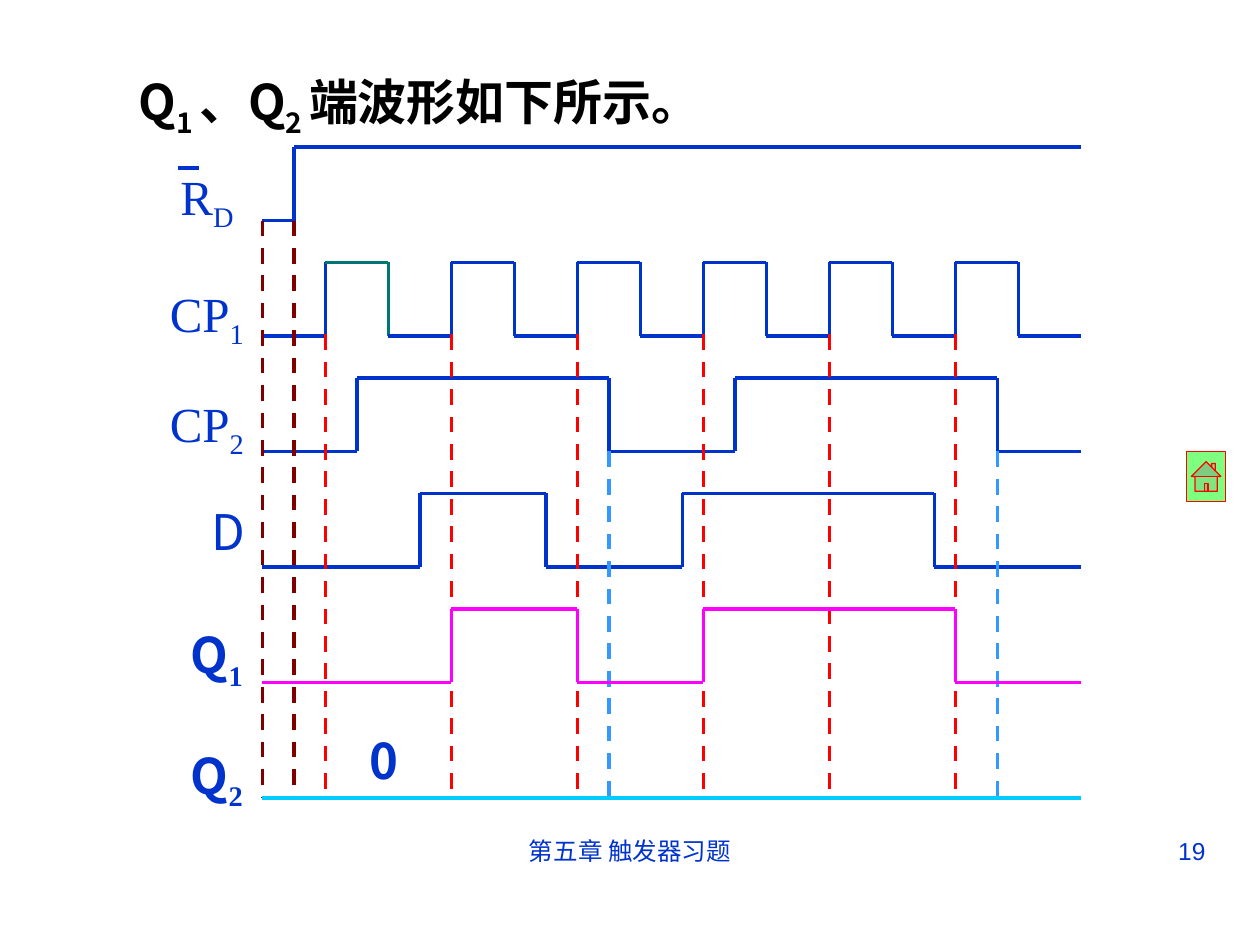
import dataclasses

import lxml.etree
import pptx
import pptx.dml.color
import pptx.enum.dml
import pptx.enum.shapes
import pptx.enum.text
import pptx.oxml.ns
import pptx.util

Pt = pptx.util.Pt
qn = pptx.oxml.ns.qn
Align = pptx.enum.text.PP_ALIGN


@dataclasses.dataclass(frozen=True)
class Theme:
    ink: str = "000000"
    signal: str = "0033CC"
    first_pulse: str = "007572"
    reset_guide: str = "800000"
    clock1_guide: str = "FF0000"
    clock2_guide: str = "3399FF"
    q1: str = "FF00FF"
    q2: str = "00CCFF"
    home_fill: str = "00FF00"
    home_line: str = "FF0000"
    sans: str = "Noto Sans CJK SC"
    serif: str = "Times New Roman"
    footer: str = "Arial"
    label_size: int = 28
    footer_size: int = 14
    stroke: float = 2.25
    home_stroke: float = 0.75


def rgb(color):
    return pptx.dml.color.RGBColor.from_string(color)


class TimingSlide:
    def __init__(self, deck, theme):
        self.theme = theme
        self.shapes = deck.slides.add_slide(deck.slide_layouts[6]).shapes

    def line(self, x1, y1, x2, y2, color, dashed=False):
        connector = self.shapes.add_connector(
            pptx.enum.shapes.MSO_CONNECTOR.STRAIGHT, Pt(x1), Pt(y1), Pt(x2), Pt(y2))
        connector.line.color.rgb = rgb(color)
        connector.line.width = Pt(self.theme.stroke)
        if dashed:
            connector.line.dash_style = pptx.enum.dml.MSO_LINE.DASH
        lxml.etree.SubElement(connector._element.spPr, qn("a:effectLst"))
        return connector

    def wave(self, high, low, edges, color):
        segments = []
        x, level, other = START, low, high
        for edge in edges:
            segments.append(self.line(x, level, edge, level, color))
            segments.append(self.line(edge, level, edge, other, color))
            x, level, other = edge, other, level
        segments.append(self.line(x, level, END, level, color))
        return segments

    def guides(self, positions, top, color):
        for x in positions:
            self.line(x, top, x, Q2_LEVEL, color, dashed=True)

    def text(self, box, runs, spacing=1.0, align=Align.LEFT, **formats):
        frame = self.shapes.add_textbox(*map(Pt, box)).text_frame
        frame.word_wrap = True
        paragraph = frame.paragraphs[0]
        paragraph.line_spacing = spacing
        paragraph.alignment = align
        base = {"name": self.theme.sans, "size": self.theme.label_size,
                "color": self.theme.signal, "bold": False, **formats}
        for wording, subscript, changes in runs:
            run = paragraph.add_run()
            run.text = wording
            style = {**base, **changes}
            run.font.color.rgb = rgb(style.pop("color"))
            style["size"] = Pt(style["size"])
            for attribute, value in style.items():
                setattr(run.font, attribute, value)
            properties = run._r.get_or_add_rPr()
            lxml.etree.SubElement(properties, qn("a:ea"), typeface=self.theme.sans)
            if subscript:
                properties.set("baseline", "-25000")

    def home_button(self, box):
        button = self.shapes.add_shape(
            pptx.enum.shapes.MSO_SHAPE.ACTION_BUTTON_HOME, *map(Pt, box))
        button.shadow.inherit = False
        button.fill.solid()
        button.fill.fore_color.rgb = rgb(self.theme.home_fill)
        fill_color = button._element.spPr.find(qn("a:solidFill"))[0]
        lxml.etree.SubElement(fill_color, qn("a:alpha"), val="50000")
        button.line.color.rgb = rgb(self.theme.home_line)
        button.line.width = Pt(self.theme.home_stroke)


START, END = 150, 618
RESET_RELEASE = 168
Q2_LEVEL = 456
CLOCK1_RISES = range(186, 547, 72)
CLOCK1_EDGES = range(186, 583, 36)
CLOCK2_EDGES = (204, 348, 420, 570)
D_EDGES = (240, 312, 390, 534)
Q1_EDGES = (258, 330, 402, 546)


def main():
    theme = Theme()
    deck = pptx.Presentation()
    deck.slide_width, deck.slide_height = Pt(720), Pt(540)
    slide = TimingSlide(deck, theme)

    slide.wave(84, 126, [RESET_RELEASE], theme.signal)
    clock1 = slide.wave(150, 192, CLOCK1_EDGES, theme.signal)
    for segment in clock1[2:4]:
        segment.line.color.rgb = rgb(theme.first_pulse)
    slide.wave(216, 258, CLOCK2_EDGES, theme.signal)
    slide.wave(282, 324, D_EDGES, theme.signal)
    slide.line(102, 96, 114, 96, theme.signal)

    slide.guides(CLOCK1_RISES, 191, theme.clock1_guide)
    slide.guides(CLOCK2_EDGES[1::2], 258, theme.clock2_guide)
    slide.guides((RESET_RELEASE, START), 126, theme.reset_guide)

    slide.wave(348, 390, Q1_EDGES, theme.q1)
    slide.line(START, Q2_LEVEL, END, Q2_LEVEL, theme.q2)

    slide.text((96, 91.5, 49, 45.5), [("R", False, {}), ("D", True, {})], name=theme.serif)
    for top, number in ((147, "1"), (210, "2")):
        slide.text((90, top, 72, 57), [("CP", False, {}), (number, True, {})],
                   spacing=1.3, name=theme.serif)
    slide.text((114, 273, 36, 51), [("D", False, {})], spacing=1.3)
    for top, number in ((342, "1"), (411, "2")):
        slide.text((102, top, 48, 57),
                   [("Q", False, {}), (number, True, {"name": theme.serif})],
                   spacing=1.3, bold=True)
    slide.text((204, 414, 48, 41), [("0", False, {})], bold=True)
    slide.text((72, 37.5, 528, 45.5),
               [("Q", False, {}), ("1 ", True, {}), ("、Q", False, {}),
                ("2 ", True, {}), ("端波形如下所示。", False, {})],
               bold=True, color=theme.ink)

    slide.home_button((678, 258, 22.5, 28.5))
    for box, wording, align in (
            ((246, 474, 228, 37.5), "第五章 触发器习题", Align.CENTER),
            ((516, 474, 180, 37.5), "19", Align.RIGHT)):
        slide.text(box, [(wording, False, {})], align=align,
                   name=theme.footer, size=theme.footer_size)

    deck.save("out.pptx")


if __name__ == "__main__":
    main()
